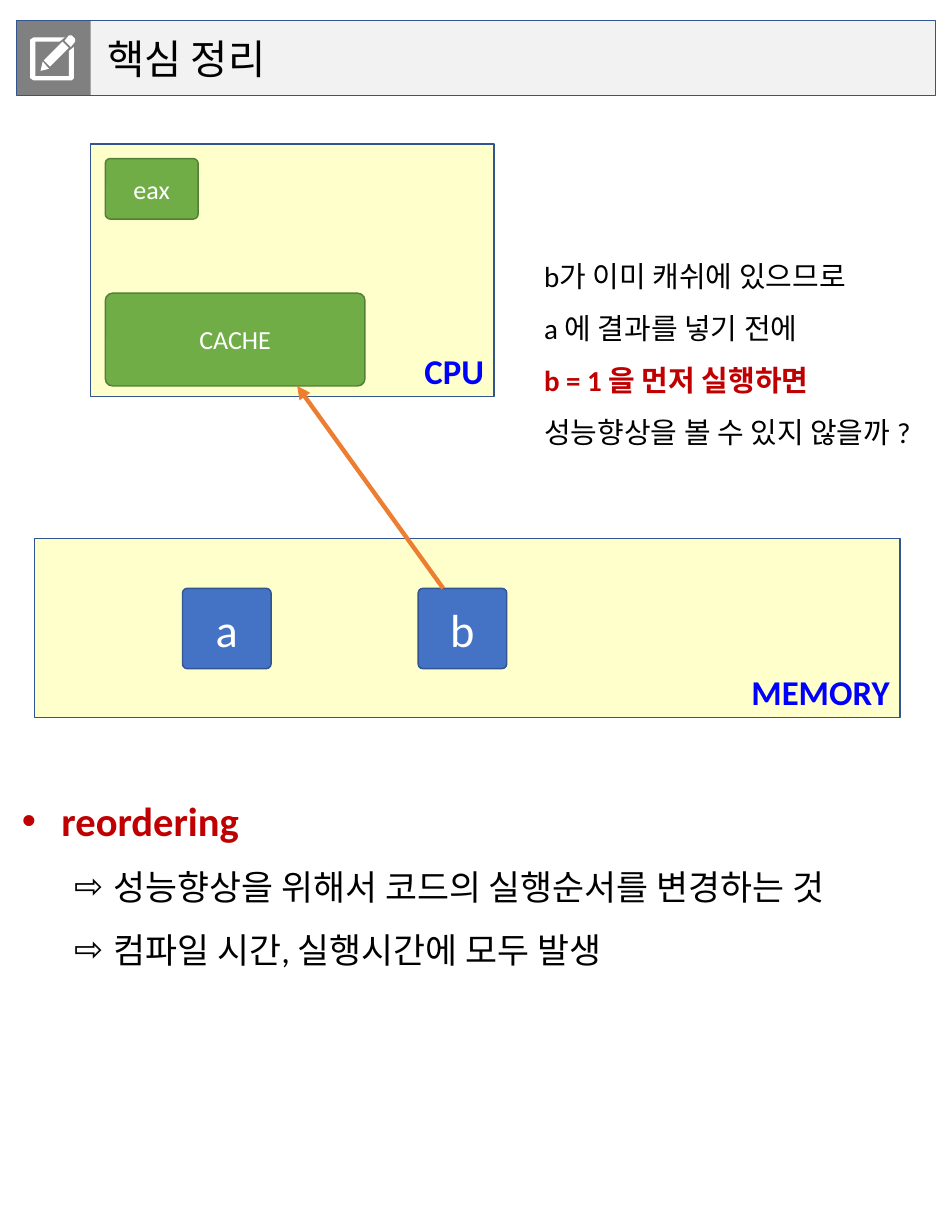
from lxml import etree
from pptx import Presentation
from pptx.dml.color import RGBColor
from pptx.enum.shapes import MSO_CONNECTOR, MSO_SHAPE
from pptx.enum.text import MSO_ANCHOR, MSO_AUTO_SIZE, PP_ALIGN
from pptx.oxml.ns import qn
from pptx.util import Inches, Pt

RECT, ROUNDED = MSO_SHAPE.RECTANGLE, MSO_SHAPE.ROUNDED_RECTANGLE
LEFT, CENTER, RIGHT = PP_ALIGN.LEFT, PP_ALIGN.CENTER, PP_ALIGN.RIGHT
MIDDLE, BOTTOM = MSO_ANCHOR.MIDDLE, MSO_ANCHOR.BOTTOM
LATIN_FONT, KOREAN_FONT = "Calibri", "Noto Sans CJK KR"

COLORS = {
    "panel": "FFFFCC", "panel_label": "0000FF", "outline": "325491",
    "header": "F2F2F2", "icon": "808080", "white": "FFFFFF", "text": "000000",
    "variable": "4472C4", "cpu_part": "70AD47", "cpu_part_line": "538035",
    "arrow": "ED7D31", "accent": "C00000",
}

# Contours of the pencil and notepad, in hundredths of an inch inside the icon
PENCIL_CONTOURS = [
    [(56, 20), (52, 25), (46, 19), (50, 14), (53, 14), (56, 17)],
    [(25, 39), (31, 46), (23, 48)],
    [(50, 26), (32, 44), (26, 38), (44, 20)],
    [(18, 20), (18, 53), (50, 53), (50, 29), (55, 25), (55, 55), (53, 57),
     (16, 57), (13, 55), (13, 18), (16, 16), (46, 16), (41, 20)],
]


def color(name):
    return RGBColor.from_string(COLORS[name])


def paint(shape, fill=None, line=None, width=1):
    """Set fill and outline; None means invisible."""
    if fill:
        shape.fill.solid()
        shape.fill.fore_color.rgb = color(fill)
    else:
        shape.fill.background()
    if line:
        shape.line.color.rgb = color(line)
        shape.line.width = Pt(width)
    else:
        shape.line.fill.background()


def style_run(run, size, tint, bold=False):
    run.font.size = Pt(size)
    run.font.bold = bold
    run.font.color.rgb = color(tint)
    run.font.name = LATIN_FONT
    east_asian = etree.SubElement(run.font._element, qn("a:ea"))
    east_asian.set("typeface", KOREAN_FONT)


def add_box(slide, kind, box, fill=None, line=None, width=1, corner=None):
    shape = slide.shapes.add_shape(kind, *map(Inches, box))
    shape.shadow.inherit = False
    paint(shape, fill, line, width)
    if corner is not None:
        shape.adjustments[0] = corner
    return shape


def add_label(shape, text, size, tint, align=CENTER, anchor=MIDDLE, bold=False):
    shape.text_frame.text = text
    shape.text_frame.vertical_anchor = anchor
    paragraph = shape.text_frame.paragraphs[0]
    paragraph.alignment = align
    style_run(paragraph.runs[0], size, tint, bold)


def add_text_area(slide, box):
    frame = slide.shapes.add_textbox(*map(Inches, box)).text_frame
    frame.word_wrap = True
    return frame


def next_paragraph(frame, index):
    paragraph = frame.add_paragraph() if index else frame.paragraphs[0]
    paragraph.line_spacing = 1.5
    return paragraph


def add_header(slide, box, text):
    left, top, width, height = box
    title = slide.shapes.title
    title.left, title.top, title.width, title.height = map(Inches, box)
    paint(title, "header")
    frame = title.text_frame
    frame.auto_size = MSO_AUTO_SIZE.NONE
    frame.margin_left = Inches(0.87)
    add_label(title, text, 28, "text", LEFT)

    add_box(slide, RECT, (left, top, height, height), "icon")
    add_box(slide, RECT, box, line="outline", width=0.5)

    first, *others = PENCIL_CONTOURS
    builder = slide.shapes.build_freeform(*first[0], scale=Inches(0.01))
    builder.add_line_segments(first[1:], close=True)
    for contour in others:
        builder.move_to(*contour[0])
        builder.add_line_segments(contour[1:], close=True)
    pencil = builder.convert_to_shape(Inches(left), Inches(top))
    pencil.shadow.inherit = False
    paint(pencil, "white")


def add_panel(slide, box, name):
    panel = add_box(slide, RECT, box, "panel", "outline")
    add_label(panel, name, 24, "panel_label", RIGHT, BOTTOM, bold=True)


def add_memory(slide, box):
    left, top, _, _ = box
    add_panel(slide, box, "MEMORY")
    for index, name in enumerate("ab"):
        cell = (left + 1.42 + index * 2.26, top + 0.48, 0.85, 0.77)
        variable = add_box(slide, ROUNDED, cell, "variable", "outline", corner=0.06)
        add_label(variable, name, 32, "white")


def add_cpu(slide, box):
    left, top, _, _ = box
    add_panel(slide, box, "CPU")
    for name, offset, width, height in [("eax", 0.14, 0.89, 0.58),
                                        ("CACHE", 1.43, 2.49, 0.89)]:
        part = add_box(slide, ROUNDED, (left + 0.14, top + offset, width, height),
                       "cpu_part", "cpu_part_line", corner=0.08)
        add_label(part, name, 18, "white")


def add_load_arrow(slide, start, end):
    arrow = slide.shapes.add_connector(
        MSO_CONNECTOR.STRAIGHT, *map(Inches, start + end))
    arrow.line.color.rgb = color("arrow")
    arrow.line.width = Pt(3)
    etree.SubElement(arrow.line._get_or_add_ln(), qn("a:tailEnd")).set("type", "triangle")
    etree.SubElement(arrow._element.spPr, qn("a:effectLst"))


def add_question(slide, box):
    frame = add_text_area(slide, box)
    lines = [
        [("b가 이미 캐쉬에 있으므로", False)],
        [("a 에 결과를 넣기 전에", False)],
        [("b = 1 을 먼저 실행하면 ", True), ("성능향상을 볼 수 있지 않을까 ?", False)],
    ]
    for index, parts in enumerate(lines):
        paragraph = next_paragraph(frame, index)
        for text, key in parts:
            run = paragraph.add_run()
            run.text = text
            style_run(run, 20, "accent" if key else "text", key)


def add_bullet(paragraph, mark, margin):
    properties = paragraph._p.get_or_add_pPr()
    properties.set("marL", str(Inches(margin)))
    properties.set("indent", str(Inches(-0.38)))
    etree.SubElement(properties, qn("a:buFont")).set("typeface", "Arial")
    etree.SubElement(properties, qn("a:buChar")).set("char", mark)


def add_summary(slide, box):
    frame = add_text_area(slide, box)
    frame.margin_left, frame.margin_top = Inches(0.2), Inches(0.12)
    frame.margin_bottom = Inches(0.2)
    points = [
        ("reordering", 0),
        ("성능향상을 위해서 코드의 실행순서를 변경하는 것", 1),
        ("컴파일 시간, 실행시간에 모두 발생", 1),
    ]
    for index, (text, level) in enumerate(points):
        paragraph = next_paragraph(frame, index)
        paragraph.text = text
        paragraph.level = level
        add_bullet(paragraph, "•⇨"[level], 0.38 + 0.5 * level)
        size, tint = (24, "text") if level else (28, "accent")
        style_run(paragraph.runs[0], size, tint, bold=not level)


def main():
    presentation = Presentation()
    presentation.slide_width = Inches(9.12)
    presentation.slide_height = Inches(11.81)
    slide = presentation.slides.add_slide(presentation.slide_layouts[5])
    add_header(slide, (0.16, 0.2, 8.81, 0.71), "핵심 정리")
    add_memory(slide, (0.33, 5.16, 8.3, 1.72))
    add_cpu(slide, (0.87, 1.38, 3.87, 2.42))
    add_load_arrow(slide, (4.25, 5.64), (2.85, 3.7))
    add_summary(slide, (0.01, 7.28, 9.11, 2.18))
    add_question(slide, (5.12, 2.26, 3.62, 2.58))
    presentation.save("out.pptx")


if __name__ == "__main__":
    main()
